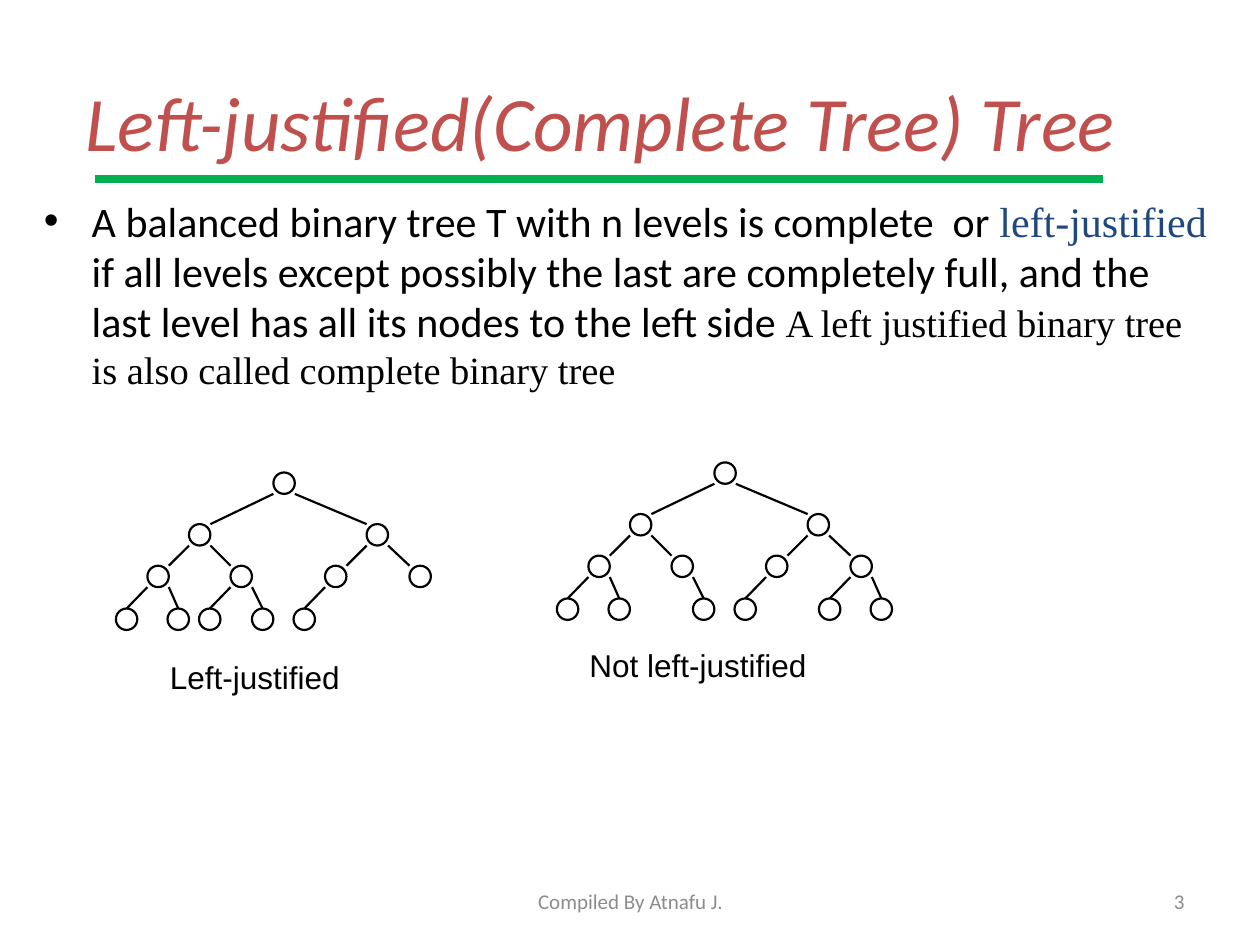
from lxml import etree
from pptx import Presentation
from pptx.dml.color import RGBColor
from pptx.enum.shapes import MSO_CONNECTOR, MSO_SHAPE
from pptx.enum.text import MSO_ANCHOR as ANCHOR, PP_ALIGN as ALIGN
from pptx.oxml.ns import qn
from pptx.util import Inches, Pt

BLACK = RGBColor(0x00, 0x00, 0x00)
RED = RGBColor(0xC0, 0x50, 0x4D)
GREEN = RGBColor(0x00, 0xB0, 0x50)
BLUE = RGBColor(0x1F, 0x49, 0x7D)
GRAY = RGBColor(0x8C, 0x8C, 0x8C)
SERIF = "Times New Roman"

NODE = 0.17
LEVEL_Y = [0, 0.41, 0.74, 1.08]
# A node's name is its route from the root: T, then L or R for each level.
NODE_X = {
    "T": 1.25, "TL": 0.58, "TR": 1.99,
    "TLL": 0.25, "TLR": 0.91, "TRL": 1.66, "TRR": 2.33,
    "TLLL": 0, "TLLR": 0.41, "TLRL": 0.66, "TLRR": 1.08,
    "TRLL": 1.41, "TRRL": 2.08, "TRRR": 2.49,
}


def add_run(p, text, font="Calibri", size=24, color=BLACK, italic=False):
    r = p.add_run()
    r.text = text
    r.font.name, r.font.size, r.font.italic = font, Pt(size), italic
    r.font.color.rgb = color


class TreeSlide:
    def __init__(self, prs):
        self.s = prs.slides.add_slide(prs.slide_layouts[6])

    def text(self, box, runs, anchor=ANCHOR.TOP, align=ALIGN.LEFT,
             bullet=False, shapes=None):
        """Add a text box; runs is a list of (text, format) pairs."""
        shapes = self.s.shapes if shapes is None else shapes
        tf = shapes.add_textbox(*map(Inches, box)).text_frame
        tf.word_wrap = True
        tf.vertical_anchor = anchor
        p = tf.paragraphs[0]
        p.alignment = align
        if bullet:
            self.bullet(p)
        for text, style in runs:
            add_run(p, text, **style)

    def bullet(self, p, indent=0.38):
        pPr = p._p.get_or_add_pPr()
        pPr.set("marL", str(Inches(indent)))
        pPr.set("indent", str(-Inches(indent)))
        etree.SubElement(pPr, qn("a:buFont")).set("typeface", "Arial")
        etree.SubElement(pPr, qn("a:buChar")).set("char", "•")

    def line(self, start, end, color=BLACK, width=1.25, shapes=None):
        shapes = self.s.shapes if shapes is None else shapes
        line = shapes.add_connector(MSO_CONNECTOR.STRAIGHT,
                                    *map(Inches, (*start, *end)))
        line.line.color.rgb = color
        line.line.width = Pt(width)
        etree.SubElement(line._element.spPr, qn("a:effectLst"))

    def node(self, x, y, shapes):
        sp = shapes.add_shape(MSO_SHAPE.OVAL,
                              *map(Inches, (x, y, NODE, NODE)))
        sp.shadow.inherit = False
        sp.fill.background()
        sp.line.color.rgb = BLACK
        sp.line.width = Pt(1.25)

    def tree(self, left, top, missing, label, label_box):
        """Draw the full tree without the missing nodes, with its label."""
        shapes = self.s.shapes.add_group_shape().shapes
        self.text(label_box, [(label, dict(font="Arial", size=18))],
                  shapes=shapes)
        spots = {name: (left + x, top + LEVEL_Y[len(name) - 1])
                 for name, x in NODE_X.items() if name not in missing}
        for name, (x, y) in spots.items():
            self.node(x, y, shapes)
            if name == "T":
                continue
            parent_x, parent_y = spots[name[:-1]]
            is_left = name.endswith("L")
            if len(name) == len(LEVEL_Y):
                end_x = x + NODE / 2
            else:
                end_x = x + NODE if is_left else x
            start_x = parent_x if is_left else parent_x + NODE
            self.line((start_x, parent_y + NODE), (end_x, y), shapes=shapes)


def main():
    prs = Presentation()
    prs.slide_width, prs.slide_height = Inches(10), Inches(7.5)
    slide = TreeSlide(prs)

    slide.text((0.58, 0.33, 9, 1.25),
               [("Left-justified(Complete Tree) Tree",
                 dict(size=44, color=RED, italic=True))],
               anchor=ANCHOR.MIDDLE)
    slide.line((0.75, 1.42), (8.75, 1.42), color=GREEN, width=4.25)
    slide.text((0.25, 1.5, 9.5, 5.17), [
        ("A balanced binary tree T with n levels is complete  or ", {}),
        ("left-justified ", dict(font=SERIF, color=BLUE)),
        ("if all levels except possibly the last are completely full, "
         "and the last level has all its nodes to the left side ", {}),
        ("A left justified binary tree is also called complete binary tree",
         dict(font=SERIF, size=22)),
    ], bullet=True)

    slide.tree(0.92, 3.75, ("TRRL", "TRRR"), "Left-justified",
               (1.25, 5.17, 2.08, 0.5))
    slide.tree(4.42, 3.67, ("TLRL",), "Not left-justified",
               (4.58, 5.08, 2.67, 0.5))

    small = dict(size=12, color=GRAY)
    slide.text((7.17, 6.95, 2.33, 0.4), [("3", small)],
               anchor=ANCHOR.MIDDLE, align=ALIGN.RIGHT)
    slide.text((3.42, 6.95, 3.17, 0.4), [("Compiled By Atnafu J.", small)],
               anchor=ANCHOR.MIDDLE, align=ALIGN.CENTER)
    prs.save("out.pptx")


if __name__ == "__main__":
    main()
